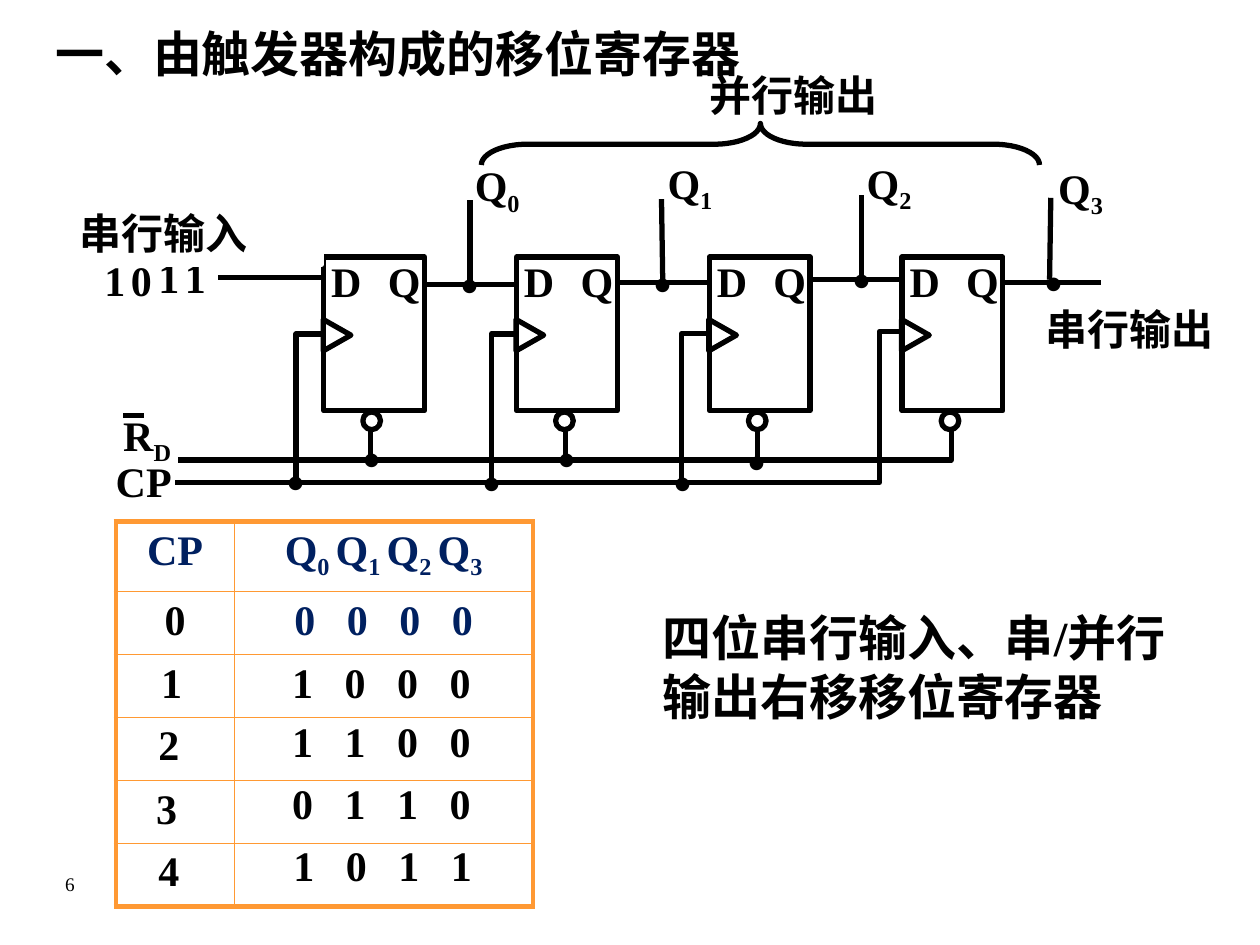
import dataclasses

import lxml.etree
import pptx
import pptx.dml.color
import pptx.enum.shapes
import pptx.enum.text
import pptx.oxml.ns
import pptx.util

Inches = pptx.util.Inches
Pt = pptx.util.Pt
Shape = pptx.enum.shapes.MSO_SHAPE
Align = pptx.enum.text.PP_ALIGN
qn = pptx.oxml.ns.qn


@dataclasses.dataclass(frozen=True)
class Theme:
    font: str = "Times New Roman"
    ink: str = "000000"
    paper: str = "FFFFFF"
    navy: str = "002060"
    orange: str = "FF9933"
    title: int = 28
    body: int = 24
    dot: int = 48
    number: int = 11
    heavy: int = 3
    thin: int = 1


THEME = Theme()


def rgb(value):
    return pptx.dml.color.RGBColor.from_string(value)


def inches(*values):
    return [Inches(value) for value in values]


def write(frame, content, size=THEME.body, color=THEME.ink, bold=True, align=Align.LEFT):
    """Fill a text frame; underscores switch between normal and subscript."""
    para = frame.paragraphs[0]
    para.alignment = align
    for index, part in enumerate(content.split("_")):
        if not part:
            continue
        span = para.add_run()
        span.text = part
        span.font.name = THEME.font
        span.font.size = Pt(size)
        span.font.bold = bold
        span.font.color.rgb = rgb(color)
        if index % 2:
            span.font._element.set("baseline", "-25000")


def outline(shape, color=THEME.ink):
    shape.shadow.inherit = False
    shape.fill.background()
    shape.line.color.rgb = rgb(color)
    shape.line.width = Pt(THEME.heavy)


def add_outline(page, kind, left, top, width, height, color=THEME.ink, rotation=0):
    shape = page.shapes.add_shape(kind, *inches(left, top, width, height))
    outline(shape, color)
    shape.rotation = rotation
    return shape


def add_text(page, content, left, top, width, height=0.5, framed=False, **style):
    """Add a label; a framed label has a border in the paper colour."""
    if framed:
        box = add_outline(page, Shape.RECTANGLE, left, top, width, height, THEME.paper)
    else:
        box = page.shapes.add_textbox(*inches(left, top, width, height))
    frame = box.text_frame
    frame.word_wrap = True
    frame.vertical_anchor = pptx.enum.text.MSO_ANCHOR.TOP
    write(frame, content, **style)


def add_line(page, x1, y1, x2, y2):
    line = page.shapes.add_connector(
        pptx.enum.shapes.MSO_CONNECTOR.STRAIGHT, *inches(x1, y1, x2, y2))
    line.line.color.rgb = rgb(THEME.ink)
    line.line.width = Pt(THEME.heavy)
    lxml.etree.SubElement(line._element.spPr, qn("a:effectLst"))


def add_wire(page, *points):
    corners = [inches(*point) for point in points]
    builder = page.shapes.build_freeform(*corners[0], scale=1.0)
    builder.add_line_segments(corners[1:], close=False)
    outline(builder.convert_to_shape())


def add_flip_flop(page, left, top=2.04):
    add_outline(page, Shape.RECTANGLE, left, top, 0.8, 1.22)
    add_outline(page, Shape.ISOSCELES_TRIANGLE, left - 0.02, top + 0.51, 0.25, 0.22,
                rotation=90)
    add_text(page, "D", left - 0.04, top - 0.06, 0.65)
    add_text(page, "Q", left + 0.41, top - 0.06, 0.65)
    add_outline(page, Shape.OVAL, left + 0.31, top + 1.23, 0.14, 0.14)


def add_wiring(page):
    add_wire(page, (7.55, 3.4), (7.55, 3.65), (1.41, 3.65))
    for x, bottom in ((6.01, 3.68), (4.49, 3.65), (2.94, 3.63)):
        add_line(page, x, 3.4, x, bottom)
    add_wire(page, (7.16, 2.63), (6.98, 2.63), (6.98, 3.83), (1.39, 3.83))
    for x, bottom in ((5.41, 3.81), (3.9, 3.83), (2.35, 3.83)):
        add_wire(page, (x + 0.2, 2.65), (x, 2.65), (x, bottom))
    for x1, x2, y in ((2.55, 1.73, 2.2), (3.35, 4.1, 2.26), (4.9, 5.63, 2.24),
                      (6.45, 7.18, 2.22), (7.96, 8.74, 2.24)):
        add_line(page, x1, y, x2, y)
    for x1, x2, bottom in ((3.73, 3.73, 2.24), (5.26, 5.25, 2.23),
                           (6.84, 6.84, 2.2), (8.33, 8.34, 2.22)):
        add_line(page, x1, bottom, x2, bottom - 0.65)


def add_signal_names(page):
    add_text(page, "CP", 0.82, 3.57, 0.77)
    for index, (left, top) in enumerate(((3.67, 1.22), (5.2, 1.2), (6.78, 1.2), (8.3, 1.24))):
        add_text(page, f"Q_{index}", left, top, 0.77)
    add_text(page, "R_D", 0.88, 3.2, 0.77)
    add_line(page, 0.98, 3.3, 1.14, 3.3)


def add_junctions(page):
    outputs = ((3.55, 1.61), (5.08, 1.6), (6.66, 1.57), (8.18, 1.59))
    clocks = ((5.24, 3.18), (3.72, 3.18), (2.17, 3.17))
    resets = ((2.77, 2.99), (4.32, 2.99), (5.83, 3.01))
    for left, top in outputs + clocks + resets:
        add_text(page, ".", left, top, 0.86, 0.9, size=THEME.dot)


def add_border(cell, side, width):
    properties = cell._tc.get_or_add_tcPr()
    edge = lxml.etree.SubElement(properties, qn(f"a:ln{side}"), w=str(Pt(width)))
    fill = lxml.etree.SubElement(edge, qn("a:solidFill"))
    lxml.etree.SubElement(fill, qn("a:srgbClr"), val=THEME.orange)


def add_state_table(page):
    rows, columns = 6, 2
    table = page.shapes.add_table(rows, columns, *inches(0.92, 4.14, 3.31, 3.05)).table
    table.first_row = table.horz_banding = False
    for column, width in zip(table.columns, (0.94, 2.37)):
        column.width = Inches(width)
    for index, row in enumerate(table.rows):
        row.height = Inches(0.5 if index else 0.55)
        for position, cell in enumerate(row.cells):
            outer = {"L": position == 0, "R": position == columns - 1,
                     "T": index == 0, "B": index == rows - 1}
            for side, is_outer in outer.items():
                add_border(cell, side, THEME.heavy if is_outer else THEME.thin)
            cell.fill.background()
    for row, column, content, color in (
            (0, 0, "CP", THEME.navy), (0, 1, "Q_0 _Q_1 _Q_2 _Q_3", THEME.navy),
            (1, 0, "0", THEME.ink), (1, 1, "0   0   0   0", THEME.navy)):
        write(table.cell(row, column).text_frame, content, color=color, align=Align.CENTER)


def add_shift_steps(page):
    """Place the states after each clock pulse over the table rows."""
    steps = (("1", 1.18, 5.16, "1   0   0   0", 2.22, 5.16),
             ("2", 1.16, 5.65, "1   1   0   0", 2.22, 5.63),
             ("3", 1.14, 6.16, "0   1   1   0", 2.22, 6.12),
             ("4", 1.16, 6.65, "1   0   1   1", 2.23, 6.61))
    for pulse, pulse_left, pulse_top, state, state_left, state_top in steps:
        add_text(page, pulse, pulse_left, pulse_top, 0.53)
        add_text(page, state, state_left, state_top, 1.75)


def add_serial_input(page):
    add_text(page, "1", 1.37, 1.95, 0.53)
    for bit, left, top in (("1", 1.16, 1.95), ("0", 0.94, 1.97), ("1", 0.73, 1.97)):
        add_text(page, bit, left, top, 0.53, framed=True)
    add_text(page, "串行输入", 0.53, 1.6, 2.02, framed=True)


def add_outputs(page):
    add_text(page, "串行输出", 8.2, 2.36, 1.8, framed=True)
    add_text(page, "并行输出", 5.53, 0.5, 1.8)
    brace = add_outline(page, Shape.LEFT_BRACE, 5.87, -1.07, 0.33, 4.43, rotation=90)
    brace.adjustments[0] = 1.11
    brace.adjustments[1] = 0.5


def main():
    deck = pptx.Presentation()
    deck.slide_width, deck.slide_height = inches(10, 7.5)
    page = deck.slides.add_slide(deck.slide_layouts[6])
    add_text(page, "6", 0.06, 6.87, 0.99, 0.37, size=THEME.number, bold=False,
             align=Align.CENTER)
    add_text(page, "一、由触发器构成的移位寄存器", 0.34, 0.14, 5.87, size=THEME.title)
    for index in range(4):
        add_flip_flop(page, 2.57 + 1.53 * index)
    add_wiring(page)
    add_signal_names(page)
    add_junctions(page)
    add_state_table(page)
    add_shift_steps(page)
    add_serial_input(page)
    add_outputs(page)
    add_text(page, "四位串行输入、串/并行输出右移移位寄存器", 5.16, 4.77, 4.2, 1.03,
             framed=True, size=THEME.title)
    deck.save("out.pptx")


if __name__ == "__main__":
    main()
